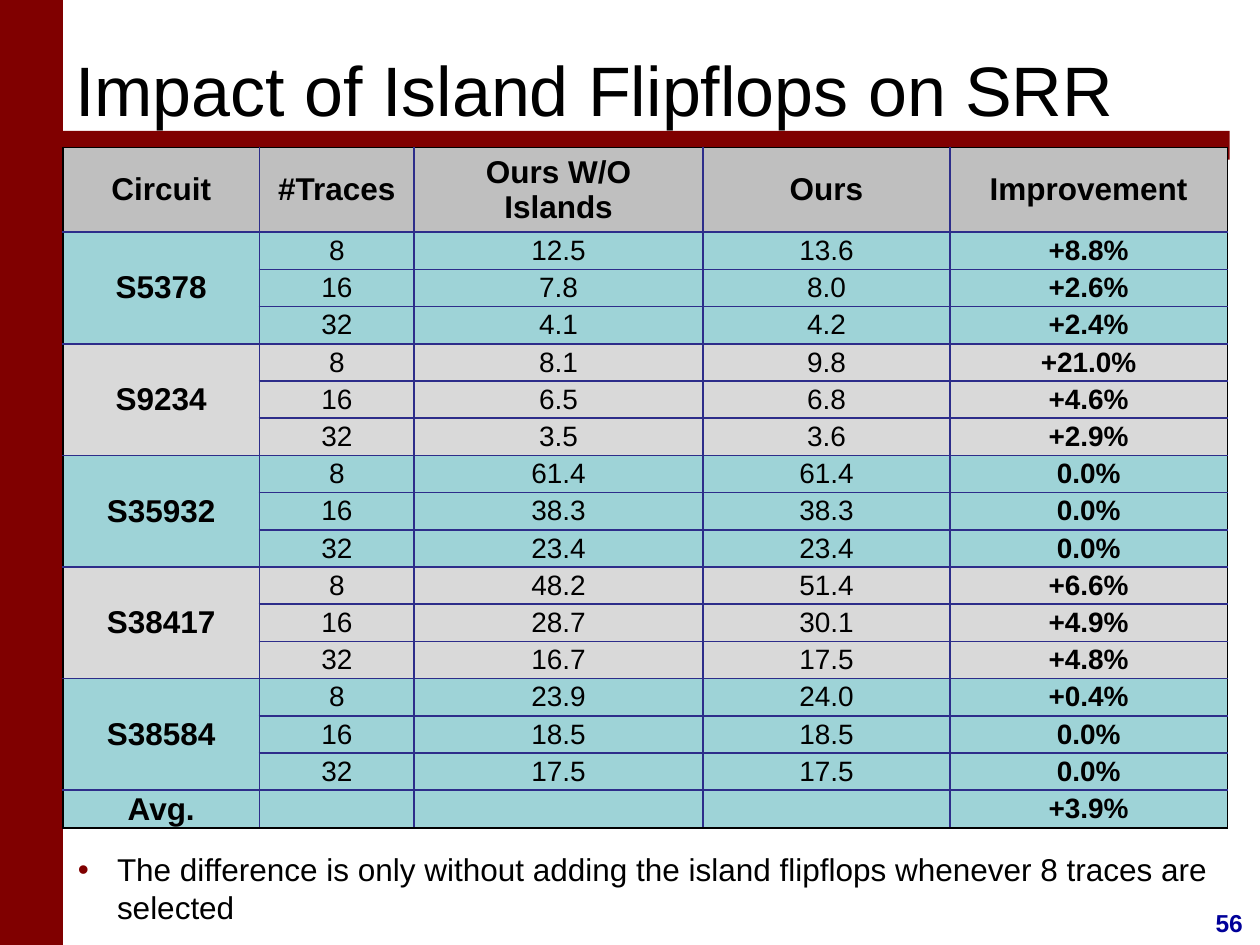
from dataclasses import dataclass
from lxml.etree import SubElement
from pptx import Presentation
from pptx.dml.color import RGBColor
from pptx.enum.shapes import MSO_SHAPE
from pptx.enum.text import MSO_ANCHOR, PP_ALIGN
from pptx.oxml.ns import qn
from pptx.util import Cm, Pt


@dataclass(frozen=True)
class Theme:
    font: str = "Arial"
    ink: str = "000000"
    red: str = "800000"
    navy: str = "000099"
    rule: str = "2D2D8A"
    head: str = "BFBFBF"
    teal: str = "9ED3D7"
    gray: str = "D9D9D9"
    title: int = 40
    label: int = 18
    value: int = 16
    page: int = 14


THEME = Theme()

TITLE = "Impact of Island Flipflops on SRR"
NOTE = ("The difference is only without adding the island flipflops "
        "whenever 8 traces are selected")
PAGE = "56"
HEADS = ["Circuit", "#Traces", "Ours W/O\nIslands", "Ours", "Improvement"]
TRACES = ["8", "16", "32"]
# Per circuit: without islands, ours, improvement for each trace count
CIRCUITS = {
    "S5378": [("12.5", "13.6", "+8.8%"), ("7.8", "8.0", "+2.6%"),
              ("4.1", "4.2", "+2.4%")],
    "S9234": [("8.1", "9.8", "+21.0%"), ("6.5", "6.8", "+4.6%"),
              ("3.5", "3.6", "+2.9%")],
    "S35932": [("61.4", "61.4", "0.0%"), ("38.3", "38.3", "0.0%"),
               ("23.4", "23.4", "0.0%")],
    "S38417": [("48.2", "51.4", "+6.6%"), ("28.7", "30.1", "+4.9%"),
               ("16.7", "17.5", "+4.8%")],
    "S38584": [("23.9", "24.0", "+0.4%"), ("18.5", "18.5", "0.0%"),
               ("17.5", "17.5", "0.0%")],
}
AVERAGE = ["Avg.", "", "", "", "+3.9%"]
WIDTHS = [3.96, 3.12, 5.82, 4.98, 5.59]
HEAD_ROW, BODY_ROW = 1.71, 0.75


def write(para, text, size, color=THEME.ink, bold=False):
    """Add text as runs, with a line break at each newline."""
    for i, part in enumerate(text.split("\n")):
        if i:
            para.add_line_break()
        run = para.add_run()
        run.text = part
        run.font.name = THEME.font
        run.font.size = Pt(size)
        run.font.bold = bold
        run.font.color.rgb = RGBColor.from_string(color)


def add_bar(slide, *box):
    bar = slide.shapes.add_shape(MSO_SHAPE.RECTANGLE, *map(Cm, box))
    bar.shadow.inherit = False
    bar.fill.solid()
    bar.fill.fore_color.rgb = RGBColor.from_string(THEME.red)
    bar.line.fill.background()


def add_box(slide, *box):
    """Add a wrapping text box and return its text frame."""
    frame = slide.shapes.add_textbox(*map(Cm, box)).text_frame
    frame.word_wrap = True
    return frame


def add_bullet(para, indent):
    props = para._p.get_or_add_pPr()
    props.set("marL", str(Cm(indent)))
    props.set("indent", str(-Cm(indent)))
    tint = SubElement(props, qn("a:buClr"))
    SubElement(tint, qn("a:srgbClr"), val=THEME.red)
    SubElement(props, qn("a:buFont"), typeface=THEME.font)
    SubElement(props, qn("a:buChar"), char="•")


def set_edges(cell, outer):
    """Draw the four borders, black on the sides named in outer."""
    props = cell._tc.get_or_add_tcPr()
    for side in "LRTB":
        line = SubElement(props, qn(f"a:ln{side}"), w=str(Pt(1)))
        fill = SubElement(line, qn("a:solidFill"))
        color = THEME.ink if side in outer else THEME.rule
        SubElement(fill, qn("a:srgbClr"), val=color)


def table_rows():
    """Return (texts, fill) for every row."""
    rows = [(HEADS, THEME.head)]
    for i, (name, values) in enumerate(CIRCUITS.items()):
        fill = THEME.gray if i % 2 else THEME.teal
        for j, (count, result) in enumerate(zip(TRACES, values)):
            rows.append(([name if j == 0 else "", count, *result], fill))
    return rows + [(AVERAGE, THEME.teal)]


def add_results(slide):
    rows = table_rows()
    last_row, last_col = len(rows) - 1, len(WIDTHS) - 1
    height = HEAD_ROW + BODY_ROW * last_row
    table = slide.shapes.add_table(
        len(rows), len(WIDTHS), Cm(1.27), Cm(2.97),
        Cm(sum(WIDTHS)), Cm(height)).table
    for col, width in zip(table.columns, WIDTHS):
        col.width = Cm(width)
    for r, (texts, fill) in enumerate(rows):
        table.rows[r].height = Cm(BODY_ROW if r else HEAD_ROW)
        for c, text in enumerate(texts):
            cell = table.cell(r, c)
            cell.margin_left = cell.margin_right = Cm(0.03)
            cell.margin_top = cell.margin_bottom = 0
            cell.vertical_anchor = MSO_ANCHOR.MIDDLE
            sides = {"L": c == 0, "R": c == last_col,
                     "T": r == 0, "B": r == last_row}
            set_edges(cell, [s for s, edge in sides.items() if edge])
            cell.fill.solid()
            cell.fill.fore_color.rgb = RGBColor.from_string(fill)
            para = cell.text_frame.paragraphs[0]
            para.alignment = PP_ALIGN.CENTER
            if text:
                label = r == 0 or c == 0
                write(para, text, THEME.label if label else THEME.value,
                      bold=label or c == last_col)
    step = len(TRACES)
    for top in range(1, last_row, step):
        table.cell(top, 0).merge(table.cell(top + step - 1, 0))


def main():
    deck = Presentation()
    deck.slide_width, deck.slide_height = Cm(25.4), Cm(19.05)
    slide = deck.slides.add_slide(deck.slide_layouts[6])

    add_bar(slide, 0, 0, 1.27, 19.05)
    page = add_box(slide, 24.16, 18.19, 1.24, 0.84)
    page.margin_left = page.margin_right = 0
    page.paragraphs[0].alignment = PP_ALIGN.CENTER
    write(page.paragraphs[0], PAGE, THEME.page, THEME.navy, True)
    add_bar(slide, 1.07, 2.64, 23.72, 0.58)

    note = add_box(slide, 1.32, 17.02, 23.93, 1.8).paragraphs[0]
    add_bullet(note, 0.79)
    write(note, NOTE, THEME.label)

    title = add_box(slide, 1.27, 0.41, 23.29, 2.74)
    title.vertical_anchor = MSO_ANCHOR.MIDDLE
    write(title.paragraphs[0], TITLE, THEME.title)

    add_results(slide)
    deck.save("out.pptx")


if __name__ == "__main__":
    main()
